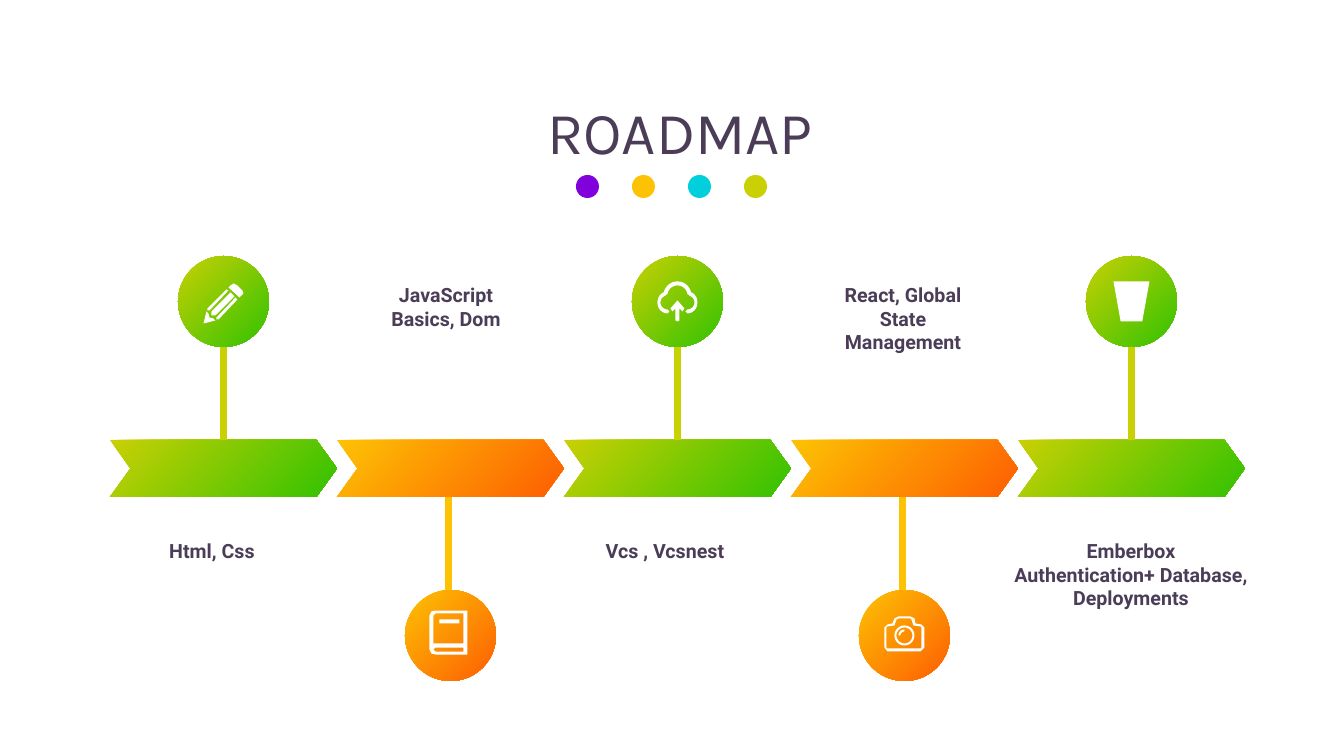
from math import cos, radians, sin

from pptx import Presentation
from pptx.dml.color import RGBColor
from pptx.enum.shapes import MSO_CONNECTOR, MSO_SHAPE
from pptx.enum.text import MSO_ANCHOR, MSO_AUTO_SIZE, PP_ALIGN
from pptx.oxml.ns import qn
from pptx.util import Pt
from lxml import etree

PX = 914400 / 100.8
INK = RGBColor(0x4B, 0x3D, 0x57)
WHITE = RGBColor(0xFF, 0xFF, 0xFF)
PURPLE = RGBColor(0x81, 0x01, 0xDD)
AMBER = RGBColor(0xFD, 0xC2, 0x04)
CYAN = RGBColor(0x01, 0xCF, 0xDB)
LIME = RGBColor(0xC9, 0xD0, 0x04)
GREEN = RGBColor(0x32, 0xC2, 0x02)
ORANGE = RGBColor(0xFD, 0x5E, 0x02)

STEP_WIDTH, STEP_HEIGHT = 227, 57
STEM, BADGE = 93, 91


def px(*lengths):
    return [round(length * PX) for length in lengths]


def arc(cx, cy, rx, ry, start, end, steps=24):
    angles = [radians(start + (end - start) * i / steps) for i in range(steps + 1)]
    return [(cx + rx * cos(a), cy + ry * sin(a)) for a in angles]


# Icon outlines, in px from the centre of the badge
PENCIL = [
    [(17, -5), (16, -4), (5, -14), (7, -16), (10, -18), (14, -16), (19, -11), (20, -8)],
    [(-7, 16), (-7, 18), (-5, 18), (14, -2), (12, -4)],
    [(-16, 7), (-16, 9), (-14, 9), (5, -11), (3, -12)],
    [(7, -9), (-12, 10), (-12, 14), (-8, 14), (11, -5)],
    [(-8, 19), (-10, 17), (-14, 16), (-15, 12), (-17, 10), (-20, 22)],
]
BOOK = [
    [(17, -25), (17, 19), (-15, 19), (-19, 18), (-21, 14), (-21, -20), (-19, -24), (-15, -25)],
    [(-15, -22), (13, -22), (13, 8), (-17, 8), (-17, -20)],
    [(-11, -16), (9, -16), (9, -12), (-11, -12)],
    [(-15, 12), (13, 12), (13, 16), (-15, 16), (-17, 14)],
]
CLOUD = [
    arc(10, 1, 10, 11, 90, -70) + arc(0, -6, 14, 14, -15, -165)
    + arc(-10, 1, 10, 11, -110, -270) + [(-8, 10)]
    + arc(-10, 1, 7, 7, 90, 250) + arc(0, -6, 10, 10, -170, -10)
    + arc(10, 1, 7, 7, -70, 90) + [(8, 10)],
    [(0, -1), (7, 7), (5, 10), (2, 7), (2, 19), (0, 20), (-2, 19), (-2, 7), (-5, 10), (-7, 7)],
]
CAMERA = [
    [(17, -11), (11, -12), (10, -17), (6, -19), (-6, -19), (-10, -17), (-12, -12),
     (-17, -11), (-20, -8), (-20, 12), (-17, 16), (16, 16), (20, 12), (20, -8)],
    [(17, 12), (16, 13), (-17, 13), (-18, 12), (-18, -8), (-17, -9), (-10, -10),
     (-8, -16), (-6, -17), (6, -17), (7, -16), (9, -10), (16, -9), (17, -8)],
    arc(0, 0, 10, 10, 0, 360),
    arc(0, 0, 8, 8, 0, 360),
    arc(0, 0, 6, 6, 180, 270) + arc(0, 0, 4, 4, 270, 180),
]

# Lines of text, label offset from the step, label width, icon (None: plain bucket)
MILESTONES = [
    (["Html, Css"], 13, 178, PENCIL),
    (["JavaScript Basics, Dom"], 20, 178, BOOK),
    (["Vcs , Vcsnest"], 12, 178, CLOUD),
    (["React, Global State Management"], 23, 178, CAMERA),
    (["Emberbox", "Authentication+ Database, Deployments"], -55, 336, None),
]


def paint(shape, *colors):
    """One colour gives a solid fill, two a diagonal gradient."""
    shape.shadow.inherit = False
    shape.line.fill.background()
    if len(colors) == 1:
        shape.fill.solid()
        shape.fill.fore_color.rgb = colors[0]
        return
    shape.fill.gradient()
    shape.fill.gradient_angle = 315
    for stop, color in zip(shape.fill.gradient_stops, colors):
        stop.color.rgb = color


def style(paragraph, font_name, size, bold):
    paragraph.alignment = PP_ALIGN.CENTER
    font = paragraph.font
    font.name, font.size, font.bold = font_name, Pt(size), bold
    font.color.rgb = INK


def add_heading(slide, left, top, width, height):
    title = slide.shapes.title
    title.left, title.top, title.width, title.height = px(left, top, width, height)
    frame = title.text_frame
    frame.text = "ROADMAP"
    frame.auto_size = MSO_AUTO_SIZE.NONE
    frame.vertical_anchor = MSO_ANCHOR.TOP
    style(frame.paragraphs[0], "Karla", 42.5, False)

    # Row of dots under the title
    for i, color in enumerate([PURPLE, AMBER, CYAN, LIME]):
        dot = slide.shapes.add_shape(
            MSO_SHAPE.OVAL, *px(left + 295 + 56 * i, top + 85, 23, 23))
        paint(dot, color)


def add_icon(slide, outlines, cx, cy):
    if outlines is None:
        bucket = slide.shapes.add_shape(
            MSO_SHAPE.FLOWCHART_MANUAL_OPERATION, *px(cx - 18, cy - 20, 36, 40))
        paint(bucket, WHITE)
        return
    builder = None
    for outline in outlines:
        points = [(10 * x, 10 * y) for x, y in outline]
        if builder is None:
            builder = slide.shapes.build_freeform(*points[0], scale=PX / 10)
        else:
            builder.move_to(*points[0])
        builder.add_line_segments(points[1:], close=True)
    paint(builder.convert_to_shape(*px(cx, cy)), WHITE)


def add_label(slide, lines, left, top, width):
    height = 34 if len(lines[0]) < 15 and len(lines) == 1 else 82
    label = slide.shapes.add_textbox(*px(left, top, width, height))
    frame = label.text_frame
    frame.word_wrap = True
    frame.text = "\n".join(lines)
    for paragraph in frame.paragraphs:
        style(paragraph, "Roboto", 14, True)


def add_milestone(slide, left, top, milestone, above):
    lines, label_offset, label_width, icon = milestone
    light, dark = (LIME, GREEN) if above else (AMBER, ORANGE)
    middle = left + STEP_WIDTH / 2
    bottom = top + STEP_HEIGHT

    # Arrow step
    step = slide.shapes.add_shape(
        MSO_SHAPE.CHEVRON, *px(left, top, STEP_WIDTH, STEP_HEIGHT))
    step.adjustments[0] = 0.36
    paint(step, light, dark)

    # Badge on its stem
    badge_top = top - STEM - BADGE if above else bottom + STEM
    badge = slide.shapes.add_shape(
        MSO_SHAPE.OVAL, *px(middle - BADGE / 2, badge_top, BADGE, BADGE))
    paint(badge, light, dark)
    stem_x = middle if above else middle - 2
    stem_top = top - STEM if above else bottom
    stem = slide.shapes.add_connector(
        MSO_CONNECTOR.STRAIGHT, *px(stem_x, stem_top, stem_x, stem_top + STEM))
    stem.line.color.rgb = light
    stem.line.width = Pt(4.5)
    etree.SubElement(stem.element.spPr, qn("a:effectLst"))
    add_icon(slide, icon, middle, badge_top + BADGE / 2)

    # Label on the opposite side
    label_top = bottom + 37 if above else top - 162
    add_label(slide, lines, left + label_offset, label_top, label_width)


def add_roadmap(slide, left, top):
    for i, milestone in enumerate(MILESTONES):
        add_milestone(slide, left + STEP_WIDTH * i, top, milestone, i % 2 == 0)


def main():
    prs = Presentation()
    prs.slide_width, prs.slide_height = px(1344, 756)
    slide = prs.slides.add_slide(prs.slide_layouts[5])
    add_heading(slide, 281, 90, 798, 83)
    add_roadmap(slide, 110, 440)
    prs.save("out.pptx")


if __name__ == "__main__":
    main()
